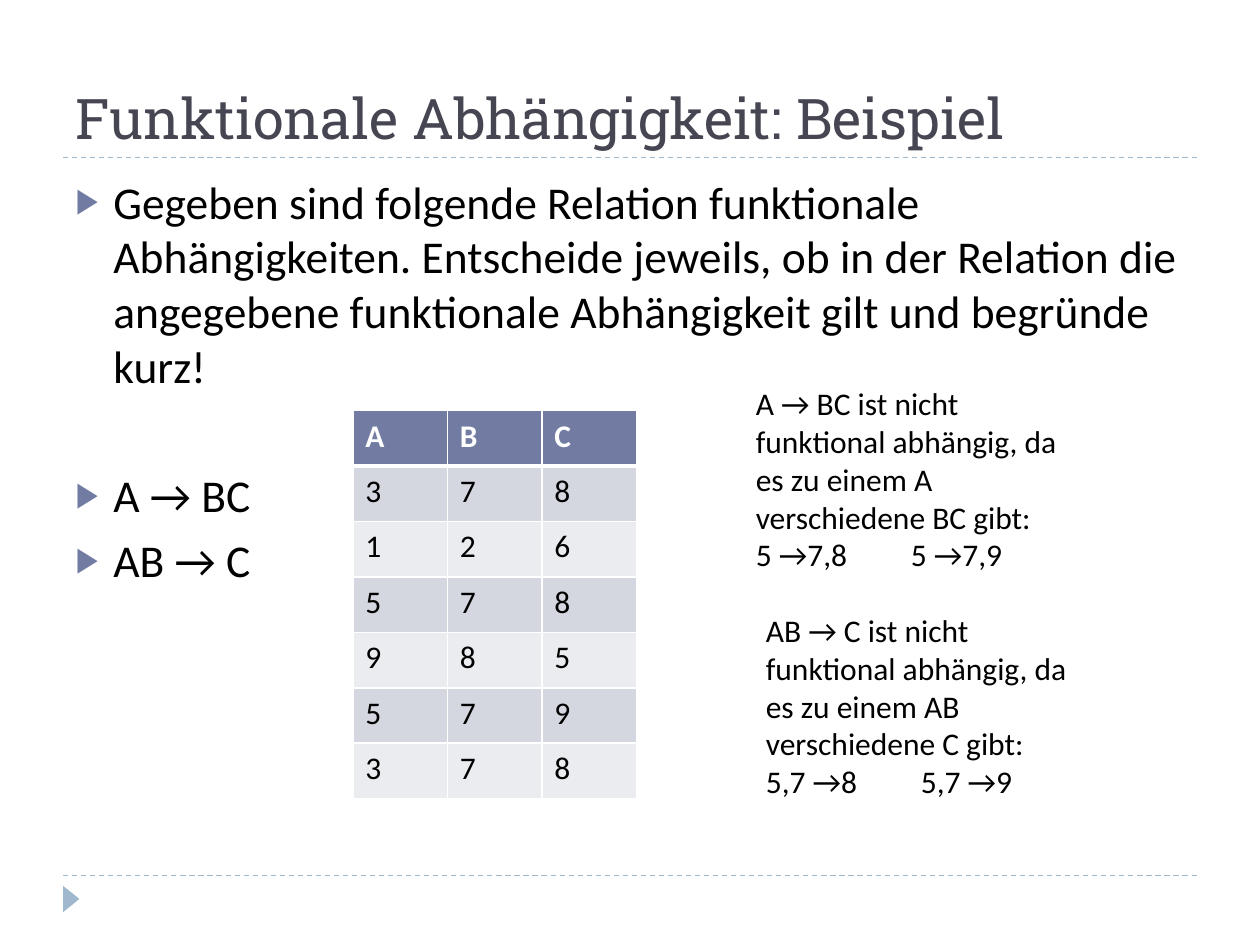
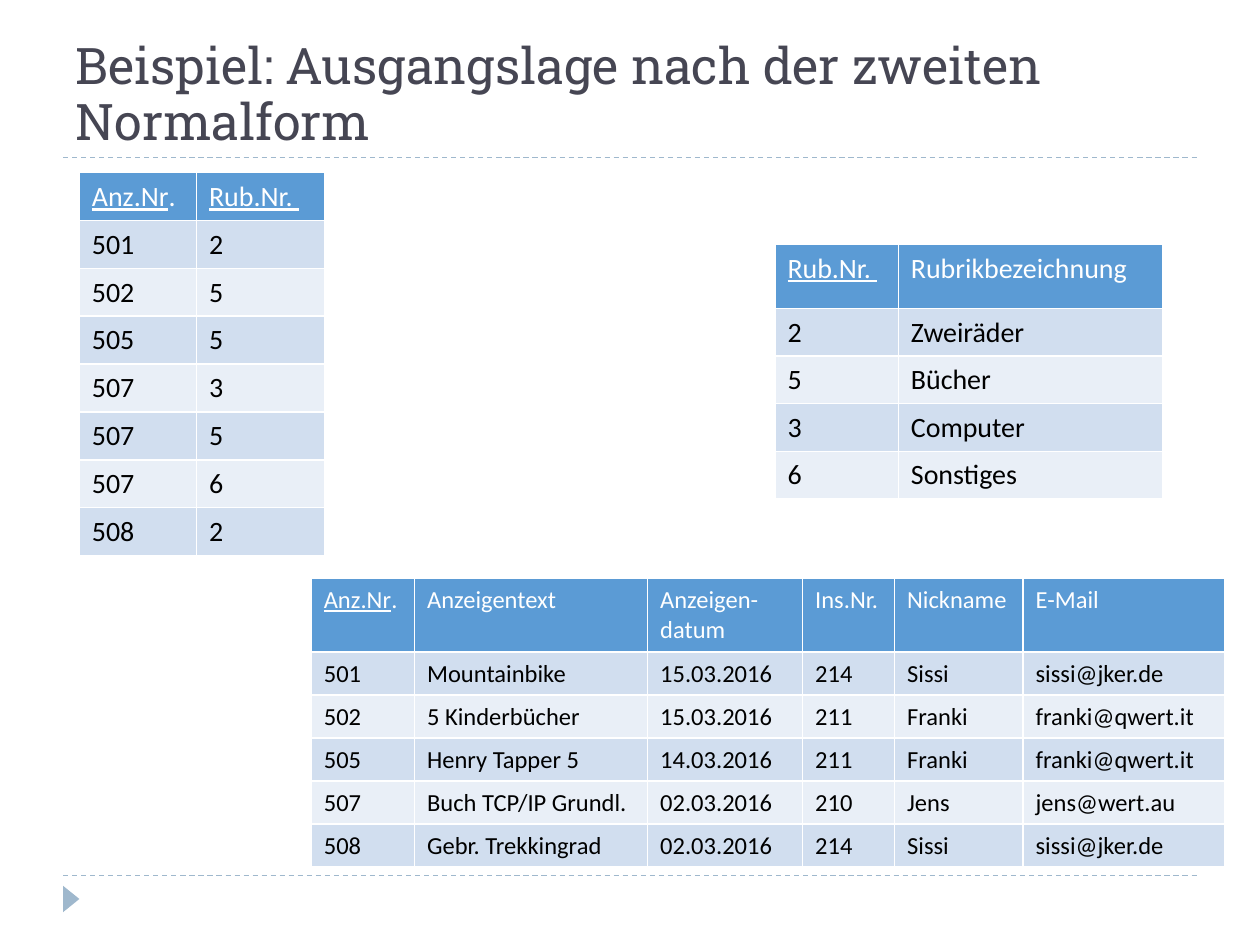
from dataclasses import dataclass

from pptx import Presentation
from pptx.dml.color import RGBColor
from pptx.enum import dml, shapes, text
from pptx.oxml import parse_xml
from pptx.oxml.ns import nsdecls
from pptx.util import Inches, Pt


@dataclass(frozen=True)
class Theme:
    heading_font: str = "Roboto Slab"
    body_font: str = "Calibri"
    heading: str = "464653"
    ink: str = "000000"
    white: str = "FFFFFF"
    rule: str = "9FB8CD"
    bullet: str = "727CA3"
    # header row, odd rows, even rows
    violet: tuple = ("727CA3", "D5D7E0", "EBECF0")
    blue: tuple = ("5B9BD5", "D1DEEF", "E9EFF7")
    title_size: float = 32
    long_title_size: float = 28.8
    list_size: float = 26
    note_size: float = 18
    key_table_size: float = 16
    wide_table_size: float = 14


THEME = Theme()


def write(para, content, size, color=THEME.ink, font=THEME.body_font,
          bold=False, underline=False, spacing=1.0, before=0):
    """Append a formatted span to a paragraph."""
    para.alignment = text.PP_ALIGN.LEFT
    para.line_spacing = spacing
    para.space_before = Pt(before)
    span = para.add_run()
    span.text = content
    span.font.name = font
    span.font.size = Pt(size)
    span.font.bold = bold
    span.font.underline = underline
    span.font.color.rgb = RGBColor.from_string(color)


def draw_table(page, left, top, widths, heights, rows, fills, size,
               bold=False, spacing=1.0, border=0.91, header_border=0.91):
    """Draw a banded table; a tuple cell holds an underlined part and the rest."""
    table = page.shapes.add_table(
        len(rows), len(widths), Inches(left), Inches(top),
        Inches(sum(widths)), Inches(sum(heights))).table
    table.first_row = table.horz_banding = False
    for column, width in zip(table.columns, widths):
        column.width = Inches(width)
    for index, (row, height, values) in enumerate(zip(table.rows, heights, rows)):
        row.height = Inches(height)
        header = index == 0
        for cell, value in zip(row.cells, values):
            for side in "LRTB" if header else "LRB":
                weight = header_border if header and side == "B" else border
                cell._tc.get_or_add_tcPr().append(parse_xml(
                    f'<a:ln{side} {nsdecls("a")} w="{Pt(weight)}"><a:solidFill>'
                    f'<a:srgbClr val="{THEME.white}"/></a:solidFill></a:ln{side}>'))
            cell.fill.solid()
            shade = fills[0] if header else fills[2 - index % 2]
            cell.fill.fore_color.rgb = RGBColor.from_string(shade)
            parts = value if isinstance(value, tuple) else ("", value)
            for part, underline in zip(parts, (True, False)):
                if part:
                    write(cell.text_frame.paragraphs[0], part, size,
                          color=THEME.white if header else THEME.ink,
                          bold=bold and header, underline=underline, spacing=spacing)


deck = Presentation()
deck.slide_width, deck.slide_height = Inches(10), Inches(7.5)

# Shared frame: title, rules and footer marker
pages = []
for layout, title, size, spacing in (
        (1, "Funktionale Abhängigkeit: Beispiel", THEME.title_size, 1.0),
        (5, "Beispiel: Ausgangslage nach der zweiten Normalform",
         THEME.long_title_size, 0.92)):
    page = deck.slides.add_slide(deck.slide_layouts[layout])
    pages.append(page)
    for height in (6.95, 1.25):
        rule = page.shapes.add_connector(
            shapes.MSO_CONNECTOR.STRAIGHT,
            Inches(0.5), Inches(height), Inches(9.5), Inches(height))
        rule.line.color.rgb = RGBColor.from_string(THEME.rule)
        rule.line.width = Pt(0.75)
        rule.line.dash_style = dml.MSO_LINE.DASH
        rule._element.spPr.append(parse_xml(f'<a:effectLst {nsdecls("a")}/>'))
    marker = page.shapes.add_shape(
        shapes.MSO_SHAPE.ISOSCELES_TRIANGLE,
        Inches(0.46), Inches(7.07), Inches(0.21), Inches(0.13))
    marker.rotation = 90
    marker.shadow.inherit = False
    marker.fill.solid()
    marker.fill.fore_color.rgb = RGBColor.from_string(THEME.rule)
    marker.line.fill.background()

    box = page.shapes.title
    box.left, box.top, box.width, box.height = map(Inches, (0.5, 0.17, 9, 1.08))
    box.text_frame.auto_size = text.MSO_AUTO_SIZE.NONE
    box.text_frame.vertical_anchor = text.MSO_ANCHOR.BOTTOM
    write(box.text_frame.paragraphs[0], title, size, color=THEME.heading,
          font=THEME.heading_font, spacing=spacing)

dependency_page, normal_form_page = pages

# Slide 1: task, relation and answers
task = dependency_page.placeholders[1]
task.left, task.top, task.width, task.height = map(Inches, (0.5, 1.33, 9, 5.4))
task.text_frame.auto_size = text.MSO_AUTO_SIZE.NONE
for index, (item, before) in enumerate((
        ("Gegeben sind folgende Relation funktionale Abhängigkeiten. Entscheide "
         "jeweils, ob in der Relation die angegebene funktionale Abhängigkeit "
         "gilt und begründe kurz!", 6),
        ("A → BC", 43),
        ("AB → C", 6))):
    frame = task.text_frame
    para = frame.add_paragraph() if index else frame.paragraphs[0]
    write(para, item, THEME.list_size, before=before)
    properties = para._p.get_or_add_pPr()
    properties.set("marL", str(Inches(0.3)))
    properties.set("indent", str(Inches(-0.3)))
    for bullet in (f'<a:buClr {nsdecls("a")}><a:srgbClr val="{THEME.bullet}"/></a:buClr>',
                   f'<a:buSzPct {nsdecls("a")} val="76000"/>',
                   f'<a:buFont {nsdecls("a")} typeface="{THEME.body_font}"/>',
                   f'<a:buChar {nsdecls("a")} char="▶"/>'):
        properties.append(parse_xml(bullet))

relation = ["ABC", "378", "126", "578", "985", "579", "378"]
draw_table(dependency_page, 2.8, 3.26, [0.75] * 3, [0.44] * len(relation), relation,
           THEME.violet, THEME.note_size, bold=True, border=1, header_border=3)

for left, top, reason, examples in (
        (5.9, 3, "A → BC ist nicht funktional abhängig, da es zu einem A "
         "verschiedene BC gibt:", "5 →7,8\t5 →7,9"),
        (5.98, 4.8, "AB → C ist nicht funktional abhängig, da es zu einem AB "
         "verschiedene C gibt:", "5,7 →8\t5,7 →9")):
    answer = dependency_page.shapes.add_textbox(
        Inches(left), Inches(top), Inches(2.71), Inches(1.62))
    answer.text_frame.word_wrap = True
    write(answer.text_frame.paragraphs[0], reason, THEME.note_size)
    para = answer.text_frame.add_paragraph()
    write(para, examples, THEME.note_size)
    para._p.get_or_add_pPr().append(parse_xml(
        f'<a:tabLst {nsdecls("a")}><a:tab pos="{Inches(1.23)}" algn="l"/></a:tabLst>'))

# Slide 2: the three relations
ad_key, category_key = ("Anz.Nr", "."), ("Rub.Nr. ", "")
ad_categories = [
    (ad_key, category_key),
    ("501", "2"), ("502", "5"), ("505", "5"), ("507", "3"),
    ("507", "5"), ("507", "6"), ("508", "2"),
]
categories = [
    (category_key, "Rubrikbezeichnung"),
    ("2", "Zweiräder"), ("5", "Bücher"), ("3", "Computer"), ("6", "Sonstiges"),
]
ads = [
    (ad_key, "Anzeigentext", "Anzeigen-datum", "Ins.Nr.", "Nickname", "E-Mail"),
    ("501", "Mountainbike", "15.03.2016", "214", "Sissi", "sissi@jker.de"),
    ("502", "5 Kinderbücher", "15.03.2016", "211", "Franki", "franki@qwert.it"),
    ("505", "Henry Tapper 5", "14.03.2016", "211", "Franki", "franki@qwert.it"),
    ("507", "Buch TCP/IP Grundl.", "02.03.2016", "210", "Jens", "jens@wert.au"),
    ("508", "Gebr. Trekkingrad", "02.03.2016", "214", "Sissi", "sissi@jker.de"),
]
for left, top, widths, header_height, row_height, rows, size in (
        (0.63, 1.37, [0.93, 1.02], 0.38, 0.38, ad_categories, THEME.key_table_size),
        (6.15, 1.94, [0.98, 2.1], 0.51, 0.37, categories, THEME.key_table_size),
        (2.47, 4.59, [0.82, 1.85, 1.23, 0.73, 1.02, 1.6], 0.57, 0.34, ads,
         THEME.wide_table_size)):
    heights = [header_height] + [row_height] * (len(rows) - 1)
    draw_table(normal_form_page, left, top, widths, heights, rows,
               THEME.blue, size, spacing=1.02)

deck.save("out.pptx")
